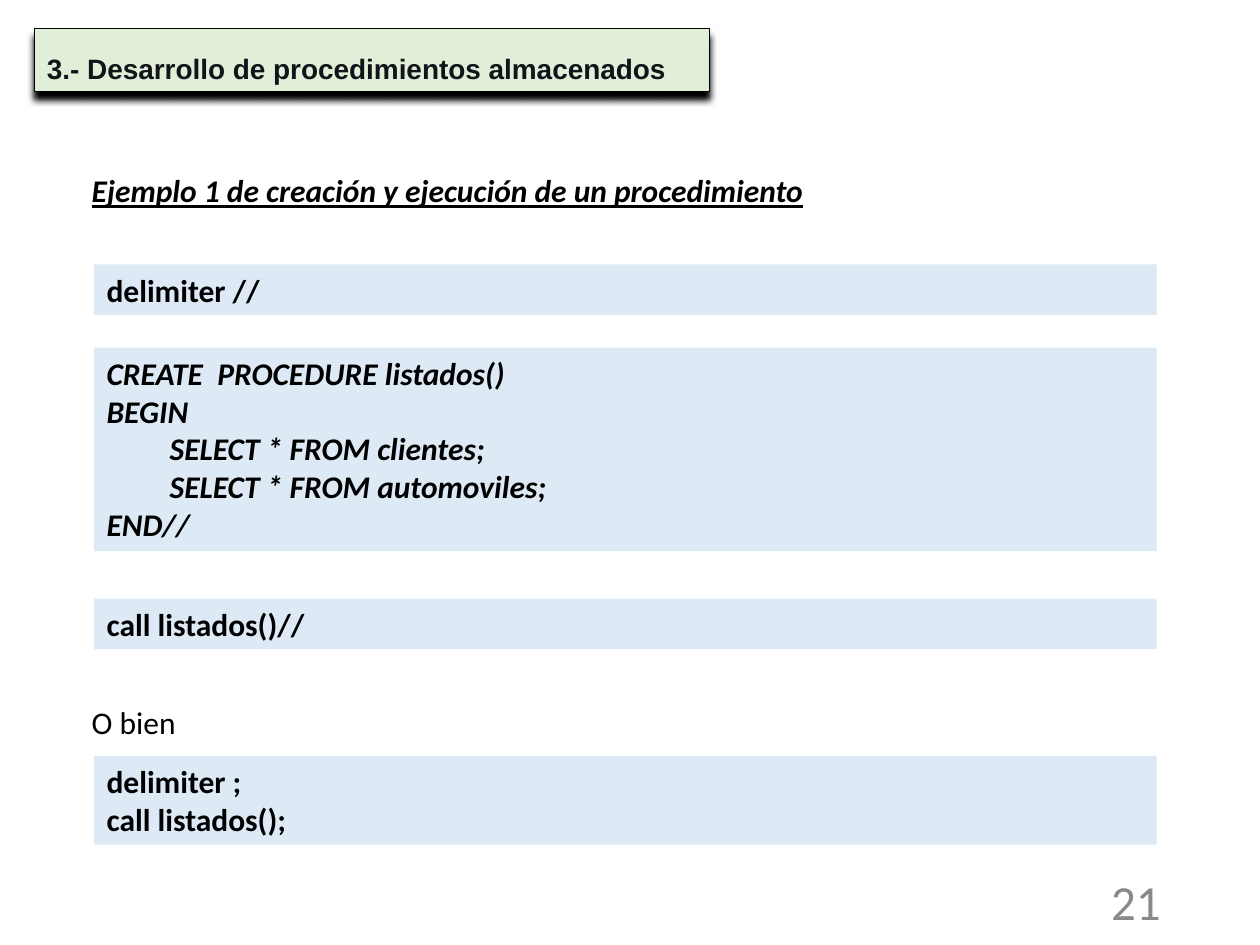
"""Builds the slide on stored procedures."""
from lxml.etree import fromstring
from pptx import Presentation
from pptx.dml.color import RGBColor
from pptx.enum.shapes import MSO_SHAPE
from pptx.enum.text import MSO_ANCHOR, MSO_AUTO_SIZE, PP_ALIGN
from pptx.util import Cm, Pt

TITLE = "3.- Desarrollo de procedimientos almacenados"
HEAD = "Ejemplo 1 de creación y ejecución de un procedimiento"
OTHER = "O bien"
NUMBER = "21"
LEFT, WIDTH = 1.9, 21.42
CODE = [
    (5.33, False, ["delimiter //"]),
    (7.01, True, ["CREATE  PROCEDURE listados()", "BEGIN",
                  "\tSELECT * FROM clientes;",
                  "\tSELECT * FROM automoviles;", "END//"]),
    (12.07, False, ["call listados()//"]),
    (15.24, False, ["delimiter ;", "call listados();"]),
]
SHADOW = """<a:effectLst
 xmlns:a="http://schemas.openxmlformats.org/drawingml/2006/main">
<a:outerShdw blurRad="50800" dist="50800" dir="5400000" rotWithShape="0">
<a:srgbClr val="000000"/></a:outerShdw></a:effectLst>"""


def color(code):
    return RGBColor.from_string(code)


def style(para, size=18, name="Calibri", ink="000000", bold=False,
          italic=False, line=False, align=PP_ALIGN.LEFT):
    """Formats a paragraph and its runs."""
    para.alignment = align
    for run in para.runs:
        font = run.font
        font.size, font.name = Pt(size), name
        font.bold, font.italic, font.underline = bold, italic, line
        font.color.rgb = color(ink)


def add_title(slide):
    """Places the title in its shadowed green box."""
    box = slide.shapes.title
    box.left, box.top, box.width, box.height = Cm(0.69), Cm(0.58), Cm(13.61), Cm(1.27)
    box.fill.solid()
    box.fill.fore_color.rgb = color("E1EFD8")
    box.line.color.rgb = color("000000")
    box.line.width = Pt(0.75)
    box._element.spPr.append(fromstring(SHADOW))
    frame = box.text_frame
    frame.text = TITLE
    frame.auto_size = MSO_AUTO_SIZE.NONE
    frame.vertical_anchor = MSO_ANCHOR.TOP
    para = frame.paragraphs[0]
    para.line_spacing = 1.5
    style(para, 16, "Arial", "11151A", bold=True)


def add_text(slide, left, top, width, height, text):
    """Adds a wrapping text box and returns its frame."""
    frame = slide.shapes.add_textbox(Cm(left), Cm(top), Cm(width), Cm(height)).text_frame
    frame.word_wrap = True
    frame.text = text
    return frame


def add_code(slide, top, italic, lines):
    """Adds a blue bar as tall as its lines of code."""
    height = 0.25 + 0.77 * len(lines)
    bar = slide.shapes.add_shape(MSO_SHAPE.RECTANGLE, Cm(LEFT), Cm(top),
                                 Cm(WIDTH), Cm(height))
    bar.shadow.inherit = False
    bar.fill.solid()
    bar.fill.fore_color.rgb = color("DDEAF6")
    bar.line.fill.background()
    frame = bar.text_frame
    frame.vertical_anchor = MSO_ANCHOR.TOP
    frame.text = "\n".join(lines)
    for para in frame.paragraphs:
        style(para, bold=True, italic=italic)


def main():
    """Builds and saves the deck."""
    deck = Presentation()
    deck.slide_width, deck.slide_height = Cm(25.4), Cm(19.05)
    slide = deck.slides.add_slide(deck.slide_layouts[5])
    add_title(slide)
    page = add_text(slide, 17.93, 17.65, 5.72, 1.02, NUMBER)
    page.vertical_anchor = MSO_ANCHOR.MIDDLE
    style(page.paragraphs[0], 28, ink="898989", align=PP_ALIGN.RIGHT)
    body = add_text(slide, 1.6, 3.33, 22.2, 12.57, f"{HEAD}\n{OTHER}")
    head, other = body.paragraphs
    style(head, bold=True, italic=True, line=True, align=PP_ALIGN.JUSTIFY)
    style(other, align=PP_ALIGN.JUSTIFY)
    other.space_before = Pt(282)
    for top, italic, lines in CODE:
        add_code(slide, top, italic, lines)
    deck.save("out.pptx")


if __name__ == "__main__":
    main()
